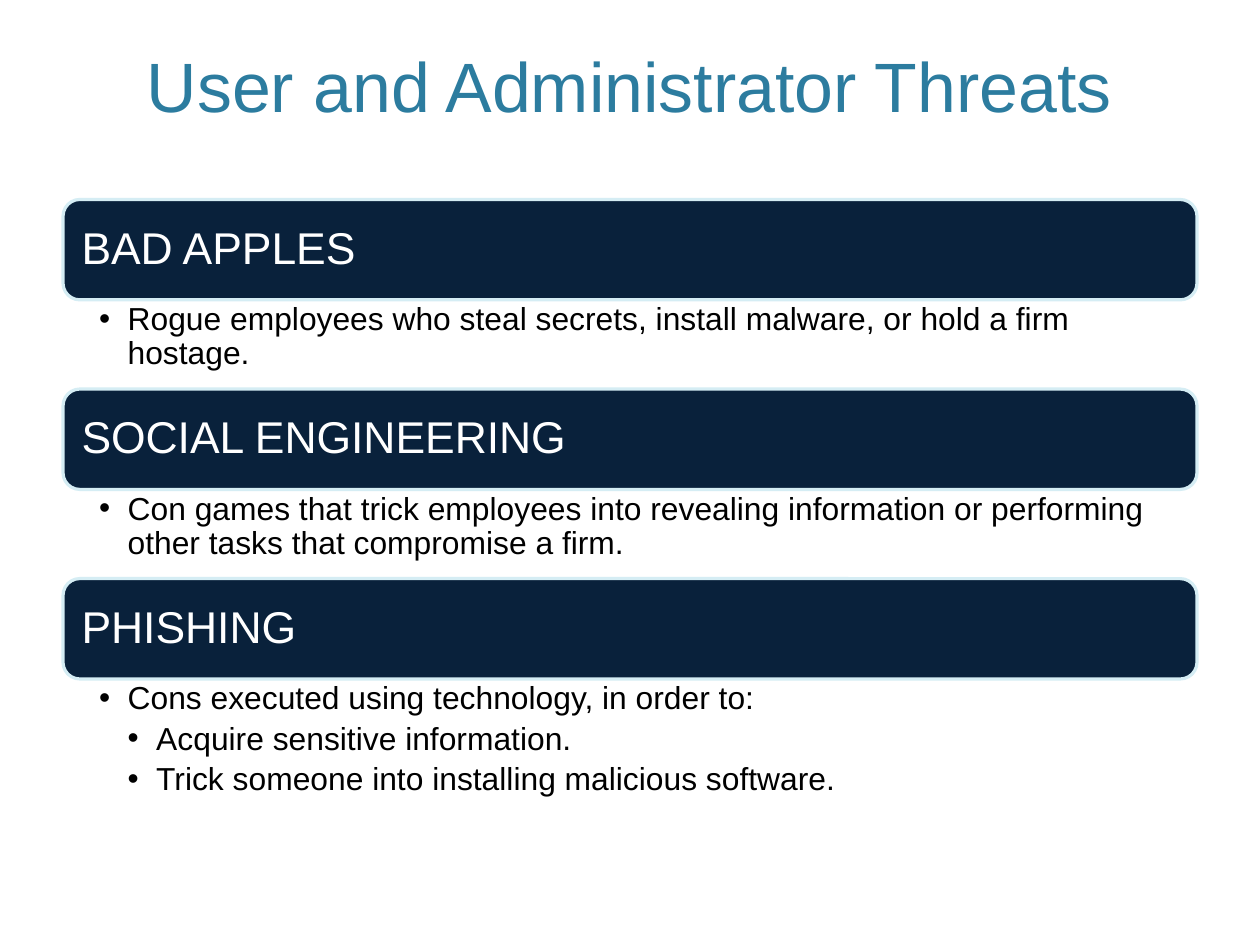
from lxml import etree
from pptx import Presentation
from pptx.dml.color import RGBColor
from pptx.enum.shapes import MSO_SHAPE as SHAPE
from pptx.enum.text import MSO_ANCHOR as ANCHOR, PP_ALIGN as ALIGN
from pptx.oxml.ns import qn
from pptx.util import Pt

TEAL = RGBColor(0x2C, 0x7C, 0x9F)
NAVY = RGBColor(0x09, 0x21, 0x3B)
PALE_BLUE = RGBColor(0xD5, 0xED, 0xF4)
WHITE = RGBColor(0xFF, 0xFF, 0xFF)
BLACK = RGBColor(0, 0, 0)

LEFT, WIDTH = 39.7, 714.3
FIRST_TOP, PITCH = 125.7, 119.4
BAR_HEIGHT = 63.2
INDENT = 18

THREATS = [
    ("BAD APPLES", 56, [
        (1, "Rogue employees who steal secrets, install malware, or hold a firm hostage."),
    ]),
    ("SOCIAL ENGINEERING", 56, [
        (1, "Con games that trick employees into revealing information or performing "
            "other tasks that compromise a firm."),
    ]),
    ("PHISHING", 80.6, [
        (1, "Cons executed using technology, in order to:"),
        (2, "Acquire sensitive information."),
        (2, "Trick someone into installing malicious software."),
    ]),
]


class SlideBuilder:
    font = "Arial"

    def __init__(self, slide):
        self.slide = slide

    def frame(self, sp, insets, anchor):
        """Prepare a shape's text frame; insets run left, top, right, bottom."""
        tf = sp.text_frame
        tf.word_wrap = True
        tf.vertical_anchor = anchor
        tf.margin_left, tf.margin_top, tf.margin_right, tf.margin_bottom = map(Pt, insets)
        return tf

    def run(self, p, text, size, color):
        r = p.add_run()
        r.text = text
        r.font.name = self.font
        r.font.size = Pt(size)
        r.font.color.rgb = color

    def title(self, text, left, top, width, height):
        sp = self.slide.shapes.add_textbox(Pt(left), Pt(top), Pt(width), Pt(height))
        p = self.frame(sp, (7.9, 4, 7.9, 4), ANCHOR.BOTTOM).paragraphs[0]
        p.alignment = ALIGN.CENTER
        self.run(p, text, 44, TEAL)

    def bar(self, text, top):
        sp = self.slide.shapes.add_shape(
            SHAPE.ROUNDED_RECTANGLE, Pt(LEFT), Pt(top), Pt(WIDTH), Pt(BAR_HEIGHT))
        sp.shadow.inherit = False
        sp.fill.solid()
        sp.fill.fore_color.rgb = NAVY
        sp.line.color.rgb = PALE_BLUE
        sp.line.width = Pt(2)
        p = self.frame(sp, (8.6,) * 4, ANCHOR.MIDDLE).paragraphs[0]
        p.alignment = ALIGN.LEFT
        p.line_spacing = 0.9
        self.run(p, text, 28, WHITE)

    def bullets(self, items, top, height):
        sp = self.slide.shapes.add_textbox(Pt(LEFT), Pt(top), Pt(WIDTH), Pt(height))
        tf = self.frame(sp, (22.7, 2, 11.4, 2), ANCHOR.TOP)
        for i, (level, text) in enumerate(items):
            p = tf.add_paragraph() if i else tf.paragraphs[0]
            p.level = level
            p.line_spacing = 0.9
            p.space_after = Pt(4)
            pPr = p._p.get_or_add_pPr()
            pPr.set("marL", str(Pt(INDENT * level)))
            pPr.set("indent", str(-Pt(INDENT)))
            etree.SubElement(pPr, qn("a:buFont"), typeface=self.font)
            etree.SubElement(pPr, qn("a:buChar"), char="•")
            self.run(p, text, 20, BLACK)


def main():
    prs = Presentation()
    prs.slide_width, prs.slide_height = Pt(793.7), Pt(595.28)
    s = SlideBuilder(prs.slides.add_slide(prs.slide_layouts[6]))
    s.title("User and Administrator Threats", 47.6, -32.2, 698.4, 115.9)
    for i, (heading, height, items) in enumerate(THREATS):
        top = FIRST_TOP + i * PITCH
        s.bar(heading, top)
        s.bullets(items, top + BAR_HEIGHT, height)
    prs.save("out.pptx")


if __name__ == "__main__":
    main()
